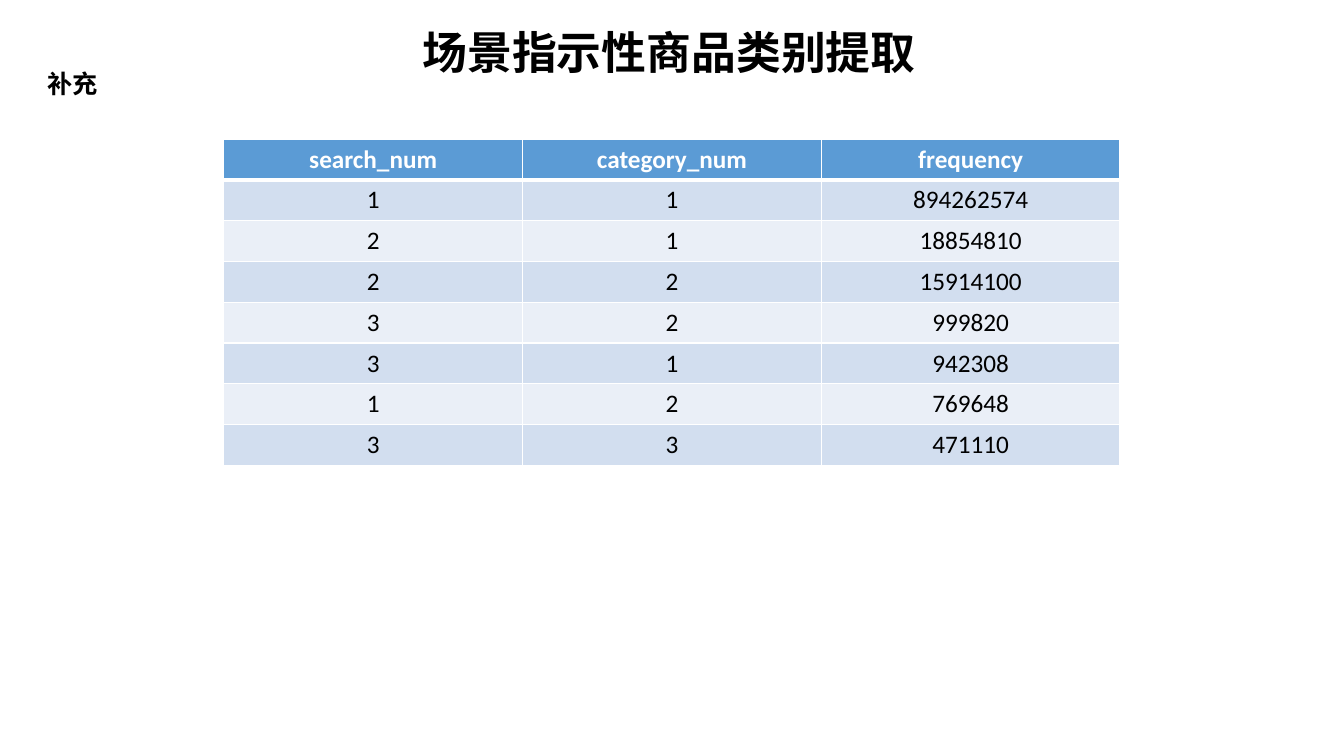
from dataclasses import dataclass

from lxml.etree import SubElement
from pptx import Presentation
from pptx.dml.color import RGBColor
from pptx.enum.text import MSO_ANCHOR, MSO_AUTO_SIZE, PP_ALIGN
from pptx.oxml.ns import qn
from pptx.shapes.base import BaseShape
from pptx.slide import Slide
from pptx.table import _Cell
from pptx.text.text import TextFrame
from pptx.util import Inches, Pt

FONT = "Calibri"
BLACK = "000000"
WHITE = "FFFFFF"
HEADER_FILL = "5B9BD5"
BAND_FILLS = ("D2DEEF", "EAEFF7")
COLUMN_WIDTH = 2.963
ROW_HEIGHT = 0.405
FREQUENCIES = (
    ("search_num", "category_num", "frequency"),
    ("1", "1", "894262574"),
    ("2", "1", "18854810"),
    ("2", "2", "15914100"),
    ("3", "2", "999820"),
    ("3", "1", "942308"),
    ("1", "2", "769648"),
    ("3", "3", "471110"),
)


@dataclass
class Heading:
    text: str
    left: float
    top: float
    width: float
    height: float
    size: int


TITLE = Heading("场景指示性商品类别提取", 4.09, 0.19, 5.16, 0.64, 32)
SUPPLEMENT = Heading("补充", 0.37, 0.63, 0.71, 0.4, 18)


def color(value: str) -> RGBColor:
    return RGBColor.from_string(value)


def write(frame: TextFrame, text: str, size: int, text_color: str,
          bold: bool, alignment: PP_ALIGN) -> None:
    paragraph = frame.paragraphs[0]
    paragraph.alignment = alignment
    run = paragraph.add_run()
    run.text = text
    run.font.name = FONT
    run.font.size = Pt(size)
    run.font.bold = bold
    run.font.color.rgb = color(text_color)


def format_heading(shape: BaseShape, heading: Heading) -> None:
    shape.left, shape.top = Inches(heading.left), Inches(heading.top)
    shape.width, shape.height = Inches(heading.width), Inches(heading.height)
    frame = shape.text_frame
    frame.word_wrap = False
    frame.auto_size = MSO_AUTO_SIZE.SHAPE_TO_FIT_TEXT
    frame.vertical_anchor = MSO_ANCHOR.TOP
    write(frame, heading.text, heading.size, BLACK, True, PP_ALIGN.LEFT)


def set_borders(cell: _Cell, top: int, bottom: int) -> None:
    properties = cell._tc.get_or_add_tcPr()
    widths = {"a:lnL": 1, "a:lnR": 1, "a:lnT": top, "a:lnB": bottom}
    for position, (tag, width) in enumerate(widths.items()):
        line = SubElement(properties, qn(tag), w=str(Pt(width)))
        fill = SubElement(line, qn("a:solidFill"))
        SubElement(fill, qn("a:srgbClr"), val=WHITE)
        properties.insert(position, line)


def add_frequency_table(slide: Slide) -> None:
    row_count, column_count = len(FREQUENCIES), len(FREQUENCIES[0])
    table = slide.shapes.add_table(
        row_count, column_count, Inches(2.22), Inches(1.38),
        Inches(COLUMN_WIDTH * column_count), Inches(ROW_HEIGHT * row_count),
    ).table
    for row, values in enumerate(FREQUENCIES):
        header = row == 0
        fill = HEADER_FILL if header else BAND_FILLS[(row - 1) % 2]
        for column, value in enumerate(values):
            cell = table.cell(row, column)
            cell.fill.solid()
            cell.fill.fore_color.rgb = color(fill)
            set_borders(cell, 3 if row == 1 else 1, 3 if header else 1)
            write(cell.text_frame, value, 18, WHITE if header else BLACK,
                  header, PP_ALIGN.CENTER)


def main() -> None:
    presentation = Presentation()
    presentation.slide_width = Inches(13.33)
    presentation.slide_height = Inches(7.5)
    slide = presentation.slides.add_slide(presentation.slide_layouts[5])
    format_heading(slide.shapes.title, TITLE)
    supplement = slide.shapes.add_textbox(0, 0, 0, 0)
    format_heading(supplement, SUPPLEMENT)
    add_frequency_table(slide)
    presentation.save("out.pptx")


if __name__ == "__main__":
    main()
